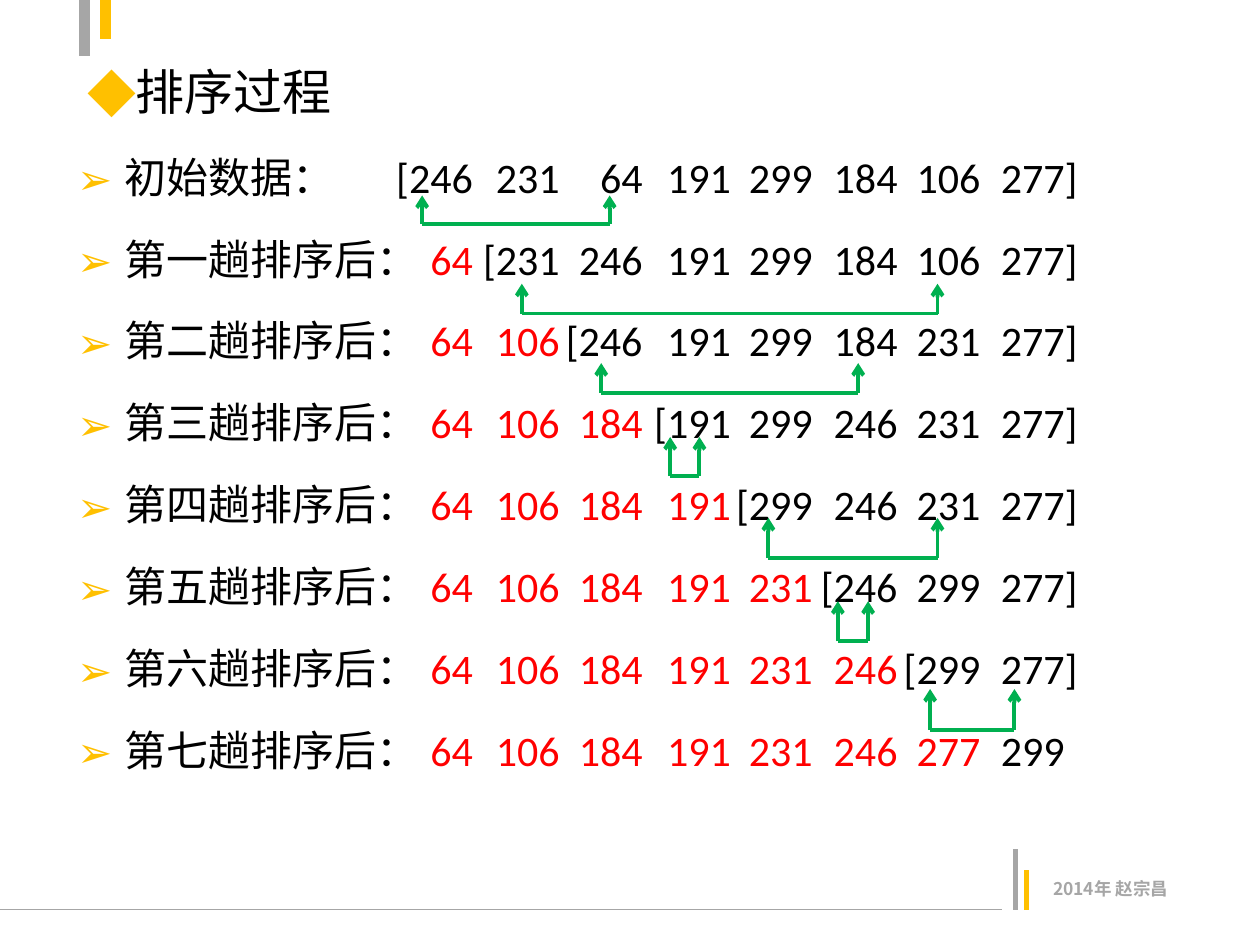
"""Build the slide that traces a selection sort pass by pass."""
from lxml import etree
from pptx import Presentation
from pptx.dml.color import RGBColor
from pptx.enum.shapes import MSO_CONNECTOR
from pptx.enum.text import MSO_ANCHOR, MSO_AUTO_SIZE, PP_ALIGN
from pptx.oxml.ns import qn
from pptx.util import Cm, Pt

STRAIGHT = MSO_CONNECTOR.STRAIGHT
TOP = MSO_ANCHOR.TOP
FIXED = MSO_AUTO_SIZE.NONE
LEFT = PP_ALIGN.LEFT

INITIAL = [246, 231, 64, 191, 299, 184, 106, 277]
LABELS = ["初始数据："] + [f"第{n}趟排序后：" for n in "一二三四五六七"]
COLUMNS = [(7.98, "r"), (9.73, "r"), (11.4, "r"), (13.18, "r"),
           (14.83, "r"), (16.54, "r"), (18.21, "r"), (18.62, "l")]
SWAPS = [(8.51, 12.29, 4.52, 3.94), (10.52, 18.9, 6.32, 5.72),
         (12.12, 17.3, 7.92, 7.32), (13.51, 14.1, 9.6, 8.81),
         (15.49, 18.9, 11.25, 10.44), (16.89, 17.5, 12.93, 12.12),
         (18.75, 20.45, 14.71, 13.89)]


def color(value):
    return RGBColor.from_string(value)


class SortSlide:
    """Hold the style and the current slide, and draw each kind of element."""

    BLACK, RED, GREEN = "000000", "FF0000", "00B050"
    GOLD, GRAY = "FFC000", "A6A6A6"
    LATIN, CJK = "Calibri", "Noto Sans CJK SC"

    def __init__(self, presentation):
        self.slide = presentation.slides.add_slide(presentation.slide_layouts[1])

    def run(self, paragraph, text, size, ink, latin, bold=False):
        run = paragraph.add_run()
        run.text = text
        run.font.size = Pt(size)
        run.font.bold = bold
        run.font.name = latin
        run.font.color.rgb = color(ink)
        properties = run.font._element
        etree.SubElement(properties, qn("a:ea"), typeface=self.CJK)

    def bullet(self, paragraph, mark):
        properties = paragraph._p.get_or_add_pPr()
        properties.set("marL", str(Cm(0.95)))
        properties.set("indent", str(Cm(-0.95)))
        tint = etree.SubElement(properties, qn("a:buClr"))
        etree.SubElement(tint, qn("a:srgbClr"), val=self.GOLD)
        etree.SubElement(properties, qn("a:buFont"), typeface=self.CJK)
        etree.SubElement(properties, qn("a:buChar"), char=mark)

    def tabs(self, paragraph, stops):
        tab_list = etree.SubElement(paragraph._p.get_or_add_pPr(), qn("a:tabLst"))
        for position, side in stops:
            etree.SubElement(tab_list, qn("a:tab"), pos=str(Cm(position)), algn=side)

    def place(self, placeholder, left, top, width, height):
        placeholder.left, placeholder.top = Cm(left), Cm(top)
        placeholder.width, placeholder.height = Cm(width), Cm(height)
        frame = placeholder.text_frame
        frame.vertical_anchor = TOP
        frame.auto_size = FIXED
        return frame

    def title(self, text):
        frame = self.place(self.slide.shapes.title, 1.5, 1.12, 7.01, 1.8)
        heading = frame.paragraphs[0]
        heading.alignment = LEFT
        self.bullet(heading, "◆")
        self.run(heading, text, 28, self.BLACK, self.CJK)

    def passes(self, labels, numbers):
        frame = self.place(self.slide.placeholders[1], 1.3, 2.92, 22.86, 14)
        numbers = list(numbers)
        for done, label in enumerate(labels):
            row = frame.add_paragraph() if done else frame.paragraphs[0]
            row.space_before = Pt(18)
            self.bullet(row, "➢")
            self.tabs(row, COLUMNS)
            self.run(row, label, 24, self.BLACK, self.LATIN)
            if done:
                smallest = numbers.index(min(numbers[done - 1:]))
                numbers[done - 1], numbers[smallest] = numbers[smallest], numbers[done - 1]
                placed = "".join(f"\t{n}" for n in numbers[:done])
                self.run(row, placed, 24, self.RED, self.LATIN)
            waiting = "\t".join(str(n) for n in numbers[done:])
            if done < len(numbers) - 1:
                waiting = f"[{waiting}]"
            self.run(row, f"\t{waiting}", 24, self.BLACK, self.LATIN)

    def line(self, shapes, start, end, ink, weight, arrow=False):
        points = [Cm(value) for value in (*start, *end)]
        connector = shapes.add_connector(STRAIGHT, *points)
        connector.line.color.rgb = color(ink)
        connector.line.width = Pt(weight)
        if arrow:
            etree.SubElement(connector.line._get_or_add_ln(), qn("a:tailEnd"), type="arrow")
        etree.SubElement(connector._element.spPr, qn("a:effectLst"))

    def swap(self, first, second, base, tip):
        shapes = self.slide.shapes.add_group_shape().shapes
        self.line(shapes, (first, base), (second, base), self.GREEN, 2.25)
        for x in (first, second):
            self.line(shapes, (x, base), (x, tip), self.GREEN, 2.25, arrow=True)

    def decoration(self):
        shapes = self.slide.shapes
        self.line(shapes, (0, 18.34), (20.19, 18.34), self.GRAY, 0.75)
        self.line(shapes, (20.47, 18.34), (20.47, 17.12), self.GRAY, 3)
        self.line(shapes, (20.7, 18.34), (20.7, 17.53), self.GOLD, 3)
        self.line(shapes, (1.7, 1.12), (1.7, 0), self.GRAY, 6)
        self.line(shapes, (2.13, 0), (2.13, 0.79), self.GOLD, 6)

    def footer(self, text):
        box = self.slide.shapes.add_textbox(Cm(20.98), Cm(17.58), Cm(3.2), Cm(0.69))
        box.text_frame.word_wrap = True
        self.run(box.text_frame.paragraphs[0], text, 10, self.GRAY, self.CJK, bold=True)


def main():
    presentation = Presentation()
    presentation.slide_width, presentation.slide_height = Cm(25.4), Cm(19.05)
    slide = SortSlide(presentation)
    slide.decoration()
    slide.footer("2014年 赵宗昌")
    slide.title("排序过程")
    slide.passes(LABELS, INITIAL)
    for swap in SWAPS:
        slide.swap(*swap)
    presentation.save("out.pptx")


if __name__ == "__main__":
    main()
